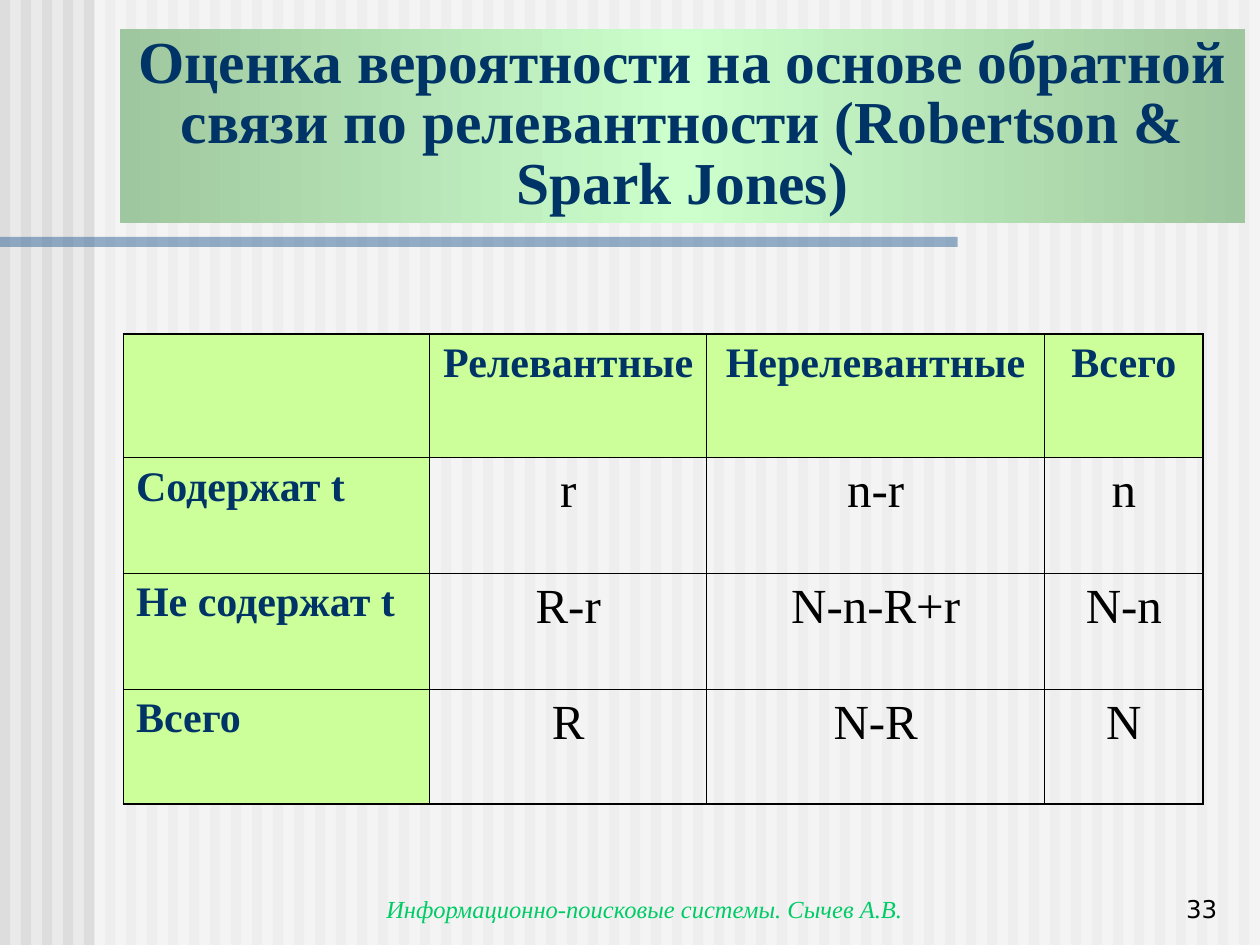
from copy import deepcopy
from pptx import Presentation
from pptx.dml.color import RGBColor
from pptx.enum import shapes, text
from pptx.oxml import ns, xmlchemy
from pptx.util import Inches, Pt

TITLE = ("Оценка вероятности на основе обратной связи "
         "по релевантности (Robertson & Spark Jones)")
ROWS = [
    ["", "Релевантные", "Нерелевантные", "Всего"],
    ["Содержат t", "r", "n-r", "n"],
    ["Не содержат t", "R-r", "N-n-R+r", "N-n"],
    ["Всего", "R", "N-R", "N"],
]
WIDTHS = [2.43, 2.2, 2.68, 1.26]
HEIGHTS = [0.98, 0.92, 0.92, 0.91]
FOOTER = "Информационно-поисковые системы. Сычев А.В."
NUMBER = "33"
STRIPES = 60
SERIF, SANS = "Times New Roman", "DejaVu Sans"
THIN, THICK = 0.45, 1.08
COLORS = {
    "back": "EAEAEA", "stripe": "DDDDDD", "veil": "FFFFFF", "bar": "336699",
    "edge": "9FC79F", "mid": "CCFFCC", "head": "CCFF99", "navy": "003366",
    "black": "000000", "green": "00CC66",
}
ALIGN = text.PP_ALIGN


def rgb(name):
    return RGBColor.from_string(COLORS[name])


def add_rect(parent, box, color, alpha=None):
    rect = parent.add_shape(shapes.MSO_SHAPE.RECTANGLE, *map(Inches, box))
    rect.shadow.inherit = False
    rect.fill.solid()
    rect.fill.fore_color.rgb = rgb(color)
    rect.line.fill.background()
    if alpha is not None:
        tint = rect._element.spPr.find(".//" + ns.qn("a:srgbClr"))
        xmlchemy.OxmlElement("a:alpha")
        mark = xmlchemy.OxmlElement("a:alpha")
        mark.set("val", str(alpha * 1000))
        tint.append(mark)


def write(frame, words, size, color, align, font=SERIF, bold=False, italic=False):
    para = frame.paragraphs[0]
    para.alignment = align
    run = para.add_run()
    run.text = words
    run.font.name, run.font.size = font, Pt(size)
    run.font.bold, run.font.italic = bold, italic
    run.font.color.rgb = rgb(color)
    return para


def add_note(slide, box, words, color, align, **style):
    frame = slide.shapes.add_textbox(*map(Inches, box)).text_frame
    frame.word_wrap = True
    frame.vertical_anchor = text.MSO_ANCHOR.BOTTOM
    write(frame, words, 14, color, align, **style)


def add_border(cell, side, width):
    line = xmlchemy.OxmlElement("a:ln" + side)
    line.set("w", str(Pt(width)))
    fill = xmlchemy.OxmlElement("a:solidFill")
    tint = xmlchemy.OxmlElement("a:srgbClr")
    tint.set("val", COLORS["black"])
    fill.append(tint)
    line.append(fill)
    cell._tc.get_or_add_tcPr().append(line)


def draw_back(slide):
    slide.background.fill.solid()
    slide.background.fill.fore_color.rgb = rgb("back")
    group = slide.shapes.add_group_shape().shapes
    for i in range(STRIPES):
        add_rect(group, (i / 6, 0, 0.08, 7.5), "stripe")
    add_rect(group, (0.75, 0, 9.25, 7.5), "veil", 50)
    add_rect(slide.shapes, (0, 1.88, 7.6, 0.08), "bar", 50)


def draw_title(slide):
    title = slide.shapes.title
    slide.shapes._spTree.append(title._element)  # in front of the stripes
    title.left, title.top, title.width, title.height = map(
        Inches, (0.95, 0.23, 8.93, 1.54))
    title.fill.gradient()
    title.fill.gradient_angle = 0
    stops = title._element.spPr.find(".//" + ns.qn("a:gsLst"))
    stops.insert(1, deepcopy(stops[0]))
    parts = [(0, "edge"), (0.5, "mid"), (1, "edge")]
    for stop, (place, color) in zip(title.fill.gradient_stops, parts):
        stop.position = place
        stop.color.rgb = rgb(color)
    frame = title.text_frame
    frame.word_wrap = True
    frame.auto_size = text.MSO_AUTO_SIZE.SHAPE_TO_FIT_TEXT
    frame.vertical_anchor = text.MSO_ANCHOR.BOTTOM
    para = write(frame, TITLE, 34, "navy", ALIGN.CENTER, bold=True)
    para.line_spacing = 0.85
    para.space_before = Pt(0)


def draw_table(slide):
    last, end = len(ROWS) - 1, len(WIDTHS) - 1
    box = (0.98, 2.65, sum(WIDTHS), sum(HEIGHTS))
    table = slide.shapes.add_table(
        last + 1, end + 1, *map(Inches, box)).table
    table.first_row = table.horz_banding = False
    for col, width in zip(table.columns, WIDTHS):
        col.width = Inches(width)
    for row, height in zip(table.rows, HEIGHTS):
        row.height = Inches(height)
    for r, row in enumerate(ROWS):
        for c, words in enumerate(row):
            cell = table.cell(r, c)
            outer = {"L": c == 0, "R": c == end, "T": r == 0, "B": r == last}
            for side, edge in outer.items():
                add_border(cell, side, THICK if edge else THIN)
            head = r == 0 or c == 0
            if head:
                cell.fill.solid()
                cell.fill.fore_color.rgb = rgb("head")
            else:
                cell.fill.background()
            if words:
                write(cell.text_frame, words, 24 if head else 28,
                      "navy" if head else "black",
                      ALIGN.LEFT if c == 0 else ALIGN.CENTER, bold=head)


def main():
    deck = Presentation()
    deck.slide_width, deck.slide_height = Inches(10), Inches(7.5)
    slide = deck.slides.add_slide(deck.slide_layouts[5])
    draw_back(slide)
    add_note(slide, (1.69, 6.88, 6.85, 0.5), FOOTER, "green", ALIGN.CENTER,
             italic=True)
    add_note(slide, (8.7, 6.88, 1.06, 0.5), NUMBER, "black", ALIGN.RIGHT,
             font=SANS)
    draw_title(slide)
    draw_table(slide)
    deck.save("out.pptx")


if __name__ == "__main__":
    main()
